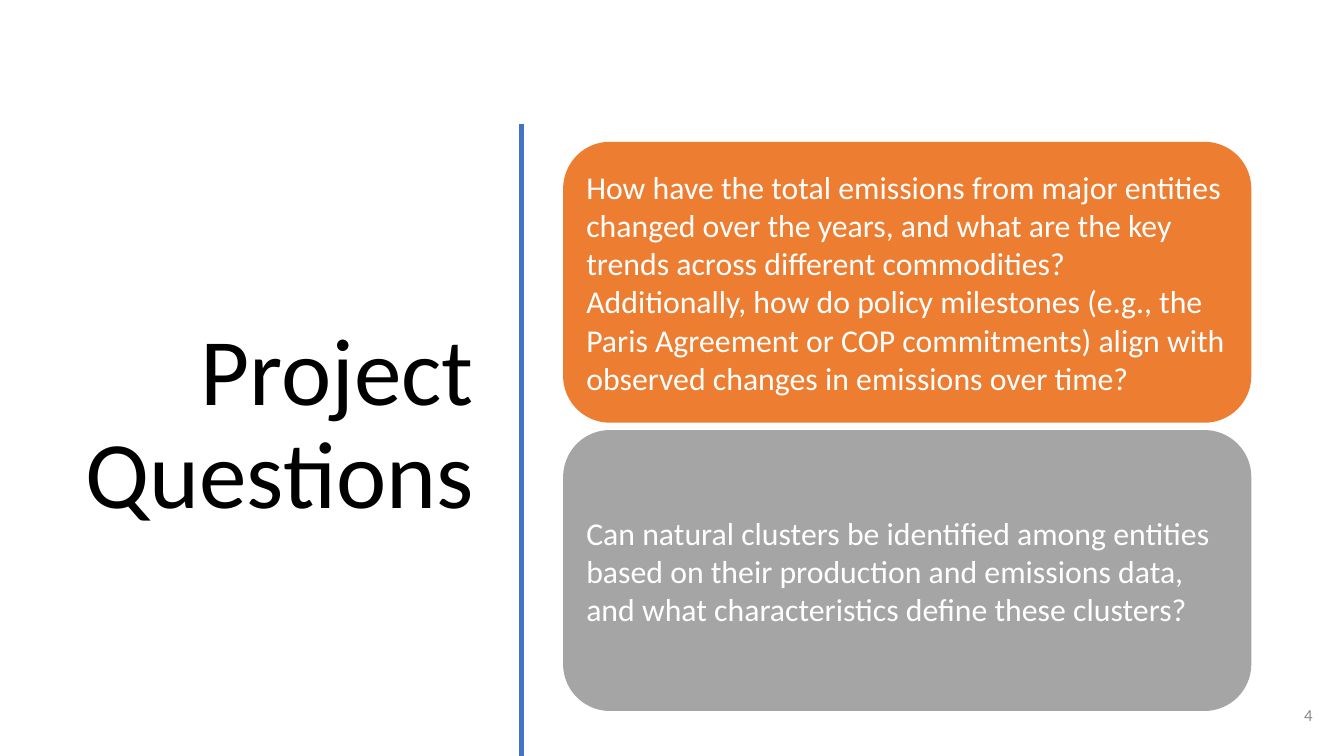
from dataclasses import dataclass

from lxml.etree import SubElement
from pptx import Presentation
from pptx.dml.color import RGBColor
from pptx.enum.shapes import MSO_CONNECTOR as Connector, MSO_SHAPE as Shape
from pptx.enum.text import MSO_ANCHOR as Anchor, MSO_AUTO_SIZE as AutoSize, PP_ALIGN as Align
from pptx.oxml.ns import qn
from pptx.util import Inches, Pt

COLUMNS = 100
ROWS = COLUMNS * 9 / 16
QUESTIONS = [
    "How have the total emissions from major entities changed over the years, "
    "and what are the key trends across different commodities? Additionally, "
    "how do policy milestones (e.g., the Paris Agreement or COP commitments) "
    "align with observed changes in emissions over time?",
    "Can natural clusters be identified among entities based on their production "
    "and emissions data, and what characteristics define these clusters?",
]


@dataclass(frozen=True)
class Theme:
    font: str = "Calibri"
    title_size: int = 51
    body_size: int = 17
    number_size: int = 9
    ink: str = "000000"
    paper: str = "FFFFFF"
    muted: str = "8C8C8C"
    rule: str = "4472C4"
    cards: tuple = ("ED7D31", "A5A5A5")


def write(frame, text, *, font, size, color, align=Align.LEFT, spacing=1.0, inset=0.1):
    frame.word_wrap = True
    frame.auto_size = AutoSize.NONE
    frame.vertical_anchor = Anchor.MIDDLE
    frame.margin_left = frame.margin_right = Inches(inset)
    frame.margin_top = frame.margin_bottom = Inches(inset)
    para = frame.paragraphs[0]
    para.alignment = align
    para.line_spacing = spacing
    span = para.add_run()
    span.text = text
    span.font.name = font
    span.font.size = Pt(size)
    span.font.color.rgb = RGBColor.from_string(color)


class SlideBuilder:
    def __init__(self, deck, theme):
        self.deck = deck
        self.theme = theme
        self.slide = deck.slides.add_slide(deck.slide_layouts[5])

    def place(self, column, row, columns, rows):
        width, height = self.deck.slide_width, self.deck.slide_height
        return (int(width * column / COLUMNS), int(height * row / ROWS),
                int(width * columns / COLUMNS), int(height * rows / ROWS))

    def title(self, text, *area):
        box = self.slide.shapes.title
        box.left, box.top, box.width, box.height = self.place(*area)
        write(box.text_frame, text, font=self.theme.font, size=self.theme.title_size,
              color=self.theme.ink, align=Align.RIGHT, spacing=0.9)

    def rule(self, column, top, bottom):
        left, start, _, length = self.place(column, top, 0, bottom - top)
        line = self.slide.shapes.add_connector(
            Connector.STRAIGHT, left, start, left, start + length)
        line.line.color.rgb = RGBColor.from_string(self.theme.rule)
        line.line.width = Pt(2.25)
        SubElement(line._element.spPr, qn("a:effectLst"))

    def card(self, text, fill, *area):
        box = self.slide.shapes.add_shape(Shape.ROUNDED_RECTANGLE, *self.place(*area))
        box.shadow.inherit = False
        box.fill.solid()
        box.fill.fore_color.rgb = RGBColor.from_string(fill)
        box.line.fill.background()
        write(box.text_frame, text, font=self.theme.font, size=self.theme.body_size,
              color=self.theme.paper, inset=0.07)

    def number(self, text, *area):
        box = self.slide.shapes.add_textbox(*self.place(*area))
        write(box.text_frame, text, font=self.theme.font, size=self.theme.number_size,
              color=self.theme.muted, align=Align.RIGHT)


def main():
    deck = Presentation()
    deck.slide_width = Inches(10)
    deck.slide_height = deck.slide_width * 9 // 16
    theme = Theme()
    page = SlideBuilder(deck, theme)
    page.title("Project Questions", 3.95, 8.8, 32.3, 45.8)
    page.rule(38.8, 9.2, ROWS)
    card_top, card_height, gap = 10.55, 20.9, 0.55
    for index, (question, fill) in enumerate(zip(QUESTIONS, theme.cards)):
        row = card_top + index * (card_height + gap)
        page.card(question, fill, 41.9, row, 51.2, card_height)
    page.number("4", 92.65, 51.05, 6, 4.3)
    deck.save("out.pptx")


if __name__ == "__main__":
    main()
